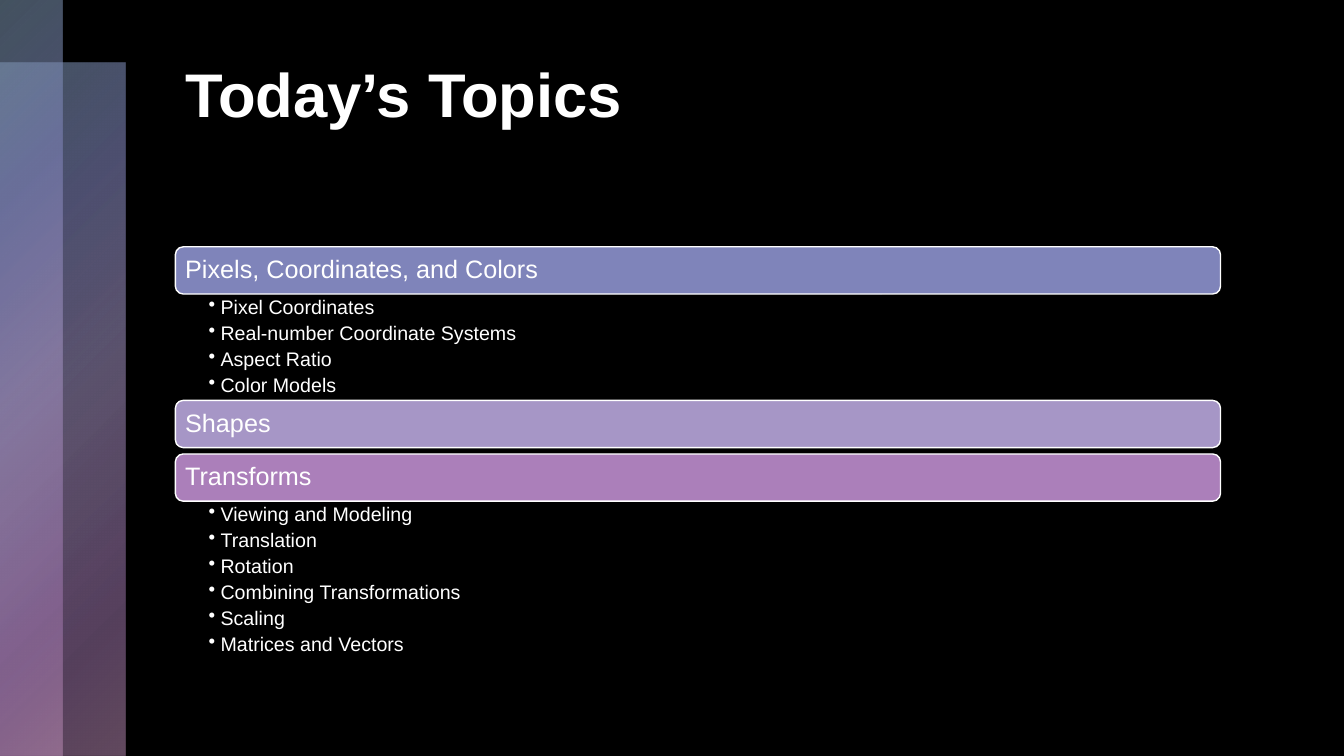
from lxml import etree
from pptx import Presentation
from pptx import util as u
from pptx.dml.color import RGBColor
from pptx.enum import shapes, text
from pptx.oxml import parse_xml
from pptx.oxml.ns import nsdecls, qn

FONT = "Arial"
WHITE = "FFFFFF"
BAR_HEIGHT = 1.19
ITEM_HEIGHT = 0.67
BAR_GAP = 0.16
RIBBON_STOPS = [(0, "88A4BF", 50), (25, "7F84BA", 60), (50, "A696C6", 55),
                (81, "AB7FBA", 50), (99, "C493BD", 50)]
TOPICS = [
    ("Pixels, Coordinates, and Colors", "7F84BA",
     ["Pixel Coordinates", "Real-number Coordinate Systems", "Aspect Ratio", "Color Models"]),
    ("Shapes", "A696C6", []),
    ("Transforms", "AB7FBA",
     ["Viewing and Modeling", "Translation", "Rotation", "Combining Transformations",
      "Scaling", "Matrices and Vectors"]),
]


def color(value):
    return RGBColor.from_string(value)


def add_run(paragraph, words, size, bold=False):
    run = paragraph.add_run()
    run.text = words
    run.font.name = FONT
    run.font.size = u.Pt(size)
    run.font.bold = bold
    run.font.color.rgb = color(WHITE)


def set_frame(frame, anchor, left, top, right, bottom):
    frame.word_wrap = True
    frame.auto_size = text.MSO_AUTO_SIZE.NONE
    frame.vertical_anchor = anchor
    frame.margin_left, frame.margin_top = u.Cm(left), u.Cm(top)
    frame.margin_right, frame.margin_bottom = u.Cm(right), u.Cm(bottom)


def add_ribbon(slide, left, top, width, height):
    ribbon = slide.shapes.add_shape(shapes.MSO_SHAPE.RECTANGLE,
                                    u.Cm(left), u.Cm(top), u.Cm(width), u.Cm(height))
    ribbon.shadow.inherit = False
    ribbon.line.fill.background()
    stops = "".join(
        f'<a:gs pos="{place * 1000}"><a:srgbClr val="{tint}">'
        f'<a:alpha val="{alpha * 1000}"/></a:srgbClr></a:gs>'
        for place, tint, alpha in RIBBON_STOPS)
    gradient = parse_xml(
        f'<a:gradFill {nsdecls("a")} rotWithShape="1"><a:gsLst>{stops}</a:gsLst>'
        '<a:path path="circle"><a:fillToRect r="100000" b="100000"/></a:path></a:gradFill>')
    ribbon._element.spPr.find(qn("a:prstGeom")).addnext(gradient)


def add_title(slide, left, top, width, height):
    title = slide.shapes.title
    title.left, title.top = u.Cm(left), u.Cm(top)
    title.width, title.height = u.Cm(width), u.Cm(height)
    set_frame(title.text_frame, text.MSO_ANCHOR.TOP, 0.25, 0.13, 0.25, 0.13)
    heading = title.text_frame.paragraphs[0]
    heading.alignment = text.PP_ALIGN.LEFT
    add_run(heading, "Today’s Topics", 44, bold=True)


def add_bar(slide, topic, tint, left, top, width):
    bar = slide.shapes.add_shape(shapes.MSO_SHAPE.ROUNDED_RECTANGLE,
                                 u.Cm(left), u.Cm(top), u.Cm(width), u.Cm(BAR_HEIGHT))
    bar.shadow.inherit = False
    bar.fill.solid()
    bar.fill.fore_color.rgb = color(tint)
    bar.line.color.rgb = color(WHITE)
    bar.line.width = u.Pt(1)
    set_frame(bar.text_frame, text.MSO_ANCHOR.MIDDLE, 0.19, 0.1, 0.19, 0.1)
    label = bar.text_frame.paragraphs[0]
    label.alignment = text.PP_ALIGN.LEFT
    label.line_spacing = 0.9
    add_run(label, topic, 18)


def add_items(slide, items, left, top, width, height):
    frame = slide.shapes.add_textbox(u.Cm(left), u.Cm(top), u.Cm(width), u.Cm(height)).text_frame
    set_frame(frame, text.MSO_ANCHOR.TOP, 0.84, 0.08, 0.36, 0.08)
    for index, item in enumerate(items):
        entry = frame.add_paragraph() if index else frame.paragraphs[0]
        entry.level = 1
        entry.line_spacing = 0.9
        entry.space_after = u.Pt(3.4)
        properties = entry._p.get_or_add_pPr()
        properties.set("marL", str(u.Cm(0.3)))
        properties.set("indent", str(-u.Cm(0.3)))
        etree.SubElement(properties, qn("a:buChar")).set("char", "•")
        add_run(entry, item, 14)


def add_topics(slide, left, top, width):
    for topic, tint, items in TOPICS:
        add_bar(slide, topic, tint, left, top, width)
        top += BAR_HEIGHT
        if items:
            height = ITEM_HEIGHT * len(items)
            add_items(slide, items, left, top, width, height)
            top += height
        else:
            top += BAR_GAP


def main():
    deck = Presentation()
    deck.slide_width, deck.slide_height = u.Cm(33.87), u.Cm(19.05)
    slide = deck.slides.add_slide(deck.slide_layouts[5])
    slide.background.fill.solid()
    slide.background.fill.fore_color.rgb = color("000000")
    add_ribbon(slide, 0, 1.57, 3.16, 17.48)
    add_ribbon(slide, 0, 0, 1.58, 19.05)
    add_title(slide, 4.42, 1.27, 26.34, 4.32)
    add_topics(slide, 4.42, 6.22, 26.34)
    deck.save("out.pptx")


if __name__ == "__main__":
    main()
